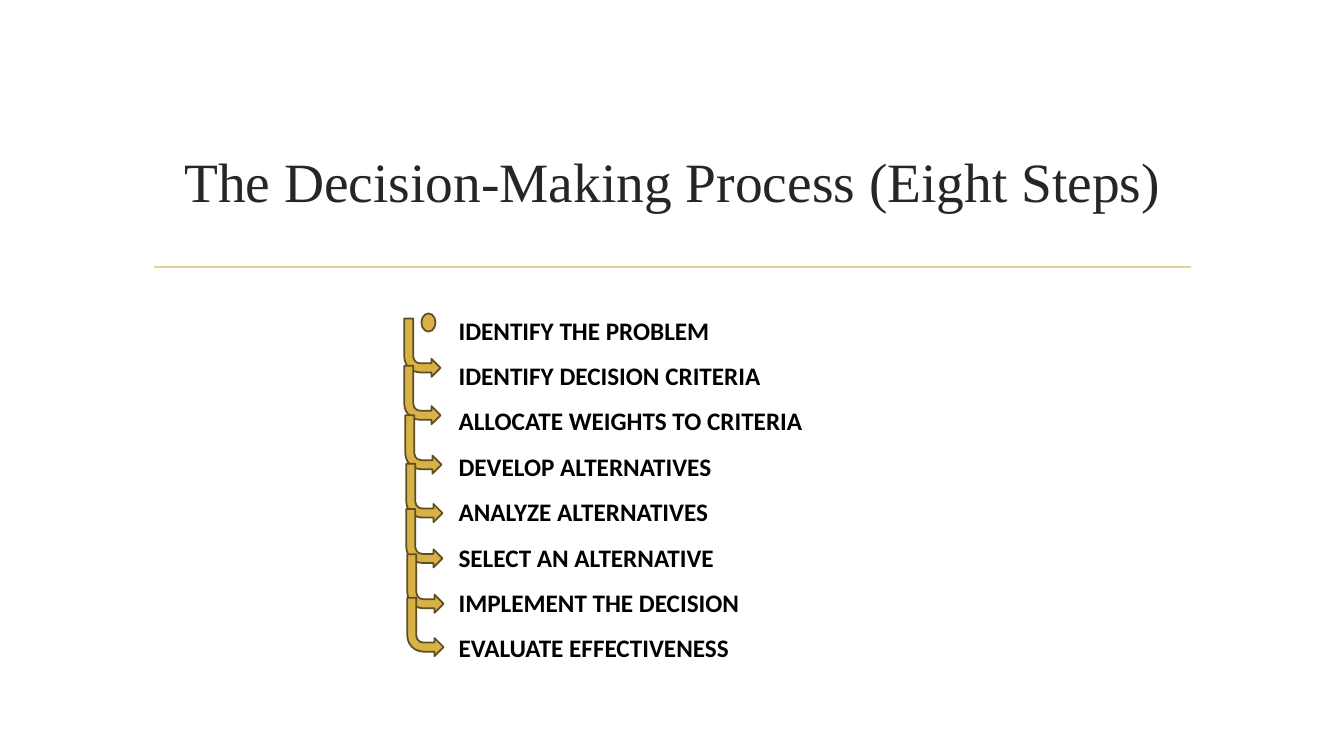
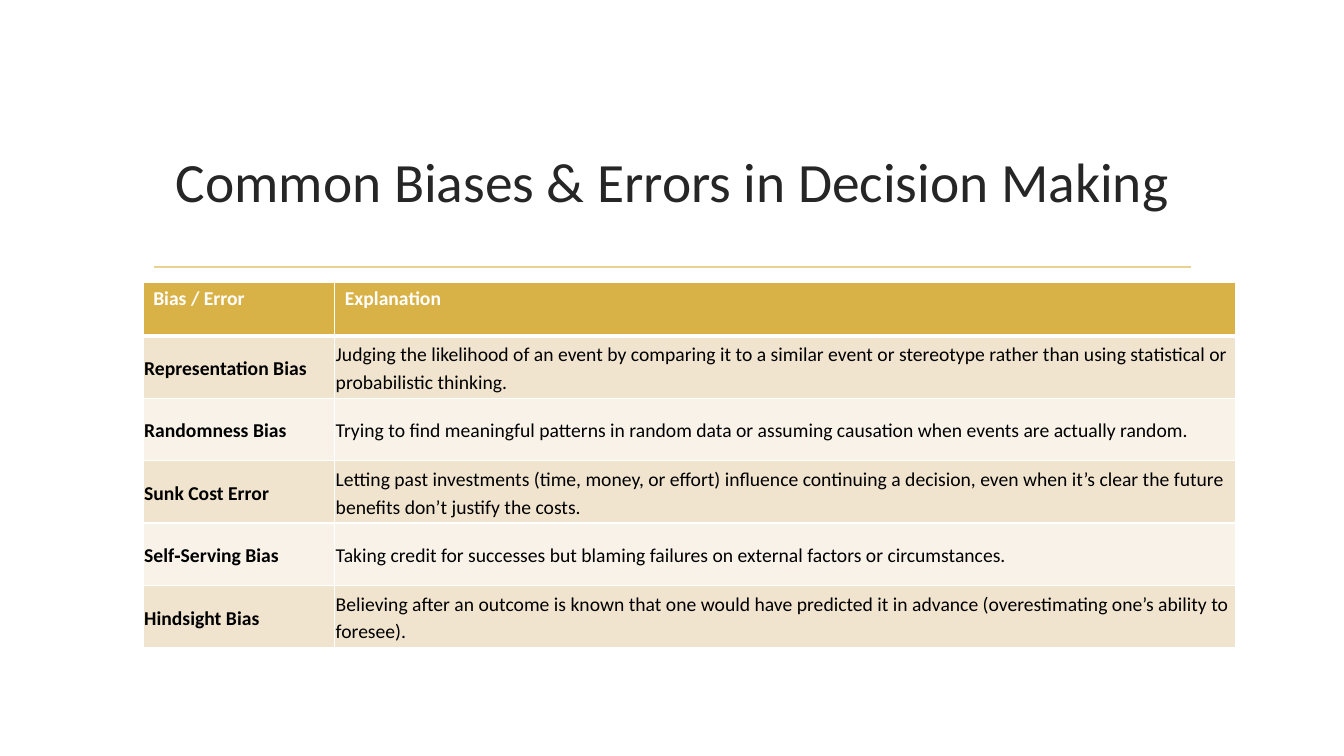
import pptx
import pptx.dml.color
import pptx.enum.shapes
import pptx.enum.text
import pptx.oxml
import pptx.oxml.ns
import pptx.util
from lxml import etree

Inches = pptx.util.Inches
Pt = pptx.util.Pt
qn = pptx.oxml.ns.qn
MSO_SHAPE = pptx.enum.shapes.MSO_SHAPE
MIDDLE = pptx.enum.text.MSO_ANCHOR.MIDDLE

GOLD = "D9B247"
PALE_GOLD = "E8D191"
DARK_GOLD = "5F4E1F"
TITLE_GREY = "262626"
BLACK = "000000"
WHITE = "FFFFFF"
BANDS = ["F1E4CF", "F8F2E9"]


def color(hex_string):
    return pptx.dml.color.RGBColor.from_string(hex_string)


def add_run(paragraph, text, size, hex_string, bold=False, font="Calibri"):
    run = paragraph.add_run()
    run.text = text
    run.font.name = font
    run.font.size = Pt(size)
    run.font.bold = bold
    run.font.color.rgb = color(hex_string)


presentation = pptx.Presentation()
presentation.slide_width = Inches(13.33)
presentation.slide_height = Inches(7.5)

# Shared rule and title
titles = [
    ("The Decision-Making Process (Eight Steps)", "Times New Roman"),
    ("Common Biases & Errors in Decision Making", "Calibri"),
]
for title, font in titles:
    slide = presentation.slides.add_slide(presentation.slide_layouts[6])
    rule = slide.shapes.add_connector(
        pptx.enum.shapes.MSO_CONNECTOR.STRAIGHT,
        Inches(1.53), Inches(2.65), Inches(11.81), Inches(2.65))
    rule.line.color.rgb = color(PALE_GOLD)
    rule.line.width = Pt(1.25)
    etree.SubElement(rule._element.spPr, qn("a:effectLst"))

    title_box = slide.shapes.add_textbox(Inches(1.42), Inches(1.07), Inches(10.5), Inches(1.43))
    title_box.text_frame.word_wrap = True
    title_box.text_frame.vertical_anchor = MIDDLE
    paragraph = title_box.text_frame.paragraphs[0]
    paragraph.alignment = pptx.enum.text.PP_ALIGN.CENTER
    add_run(paragraph, title, 39.6, TITLE_GREY, font=font)

process_slide, bias_slide = presentation.slides

# Eight steps
steps = [
    "IDENTIFY THE PROBLEM",
    "IDENTIFY DECISION CRITERIA",
    "ALLOCATE WEIGHTS TO CRITERIA",
    "DEVELOP ALTERNATIVES",
    "ANALYZE ALTERNATIVES",
    "SELECT AN ALTERNATIVE",
    "IMPLEMENT THE DECISION",
    "EVALUATE EFFECTIVENESS",
]
steps_box = process_slide.shapes.add_textbox(Inches(4.45), Inches(2.93), Inches(6.33), Inches(3.69))
steps_frame = steps_box.text_frame
steps_frame.word_wrap = True
steps_frame.vertical_anchor = MIDDLE
for index, step in enumerate(steps):
    paragraph = steps_frame.add_paragraph() if index else steps_frame.paragraphs[0]
    paragraph.line_spacing = 1.5
    add_run(paragraph, step, 18, BLACK, bold=True)

# Arrows from step to step, then the starting dot
arrow_places = [(4.01, 3.16), (4.01, 3.63), (4.02, 4.12), (4.03, 4.6),
                (4.03, 5.05), (4.04, 5.5), (4.04, 5.93)]
markers = [(MSO_SHAPE.BENT_ARROW, left, top, 0.36, 0.58) for left, top in arrow_places]
markers.append((MSO_SHAPE.FLOWCHART_CONNECTOR, 4.18, 3.11, 0.14, 0.18))
for kind, left, top, width, height in markers:
    shape = process_slide.shapes.add_shape(
        kind, Inches(left), Inches(top), Inches(width), Inches(height))
    shape.shadow.inherit = False
    shape.fill.solid()
    shape.fill.fore_color.rgb = color(GOLD)
    shape.line.color.rgb = color(DARK_GOLD)
    shape.line.width = Pt(1.25)
    if kind == MSO_SHAPE.BENT_ARROW:
        shape._element.spPr.find(qn("a:xfrm")).set("flipV", "1")

# Table of biases
rows = [
    ("Bias / Error", "Explanation"),
    ("Representation Bias",
     "Judging the likelihood of an event by comparing it to a similar event or stereotype "
     "rather than using statistical or probabilistic thinking."),
    ("Randomness Bias",
     "Trying to find meaningful patterns in random data or assuming causation when events "
     "are actually random."),
    ("Sunk Cost Error",
     "Letting past investments (time, money, or effort) influence continuing a decision, "
     "even when it’s clear the future benefits don’t justify the costs."),
    ("Self‑Serving Bias",
     "Taking credit for successes but blaming failures on external factors or circumstances."),
    ("Hindsight Bias",
     "Believing after an outcome is known that one would have predicted it in advance "
     "(overestimating one’s ability to foresee)."),
]
table = bias_slide.shapes.add_table(
    len(rows), 2, Inches(1.42), Inches(2.8), Inches(10.83), Inches(3.63)).table
table.columns[0].width = Inches(1.9)
table.columns[1].width = Inches(8.93)

for row_index, texts in enumerate(rows):
    header = row_index == 0
    table.rows[row_index].height = Inches(0.53 if header else 0.62)
    for column_index, text in enumerate(texts):
        cell = table.cell(row_index, column_index)
        cell.fill.solid()
        cell.fill.fore_color.rgb = color(GOLD if header else BANDS[(row_index - 1) % 2])
        paragraph = cell.text_frame.paragraphs[0]
        if not header:
            cell.vertical_anchor = MIDDLE
            cell.margin_left = cell.margin_right = Inches(0.01)
            cell.margin_top = cell.margin_bottom = Inches(0.01)
            paragraph.line_spacing = 1.15
            paragraph.space_after = Pt(8)
        add_run(paragraph, text, 14, WHITE if header else BLACK,
                bold=header or column_index == 0)

        # White borders, heavier below the header
        heavy_side = {0: "lnB", 1: "lnT"}.get(row_index)
        for position, side in enumerate(["lnL", "lnR", "lnT", "lnB"]):
            border = etree.Element(qn("a:" + side), w=str(Pt(3 if side == heavy_side else 1)))
            border_fill = etree.SubElement(border, qn("a:solidFill"))
            etree.SubElement(border_fill, qn("a:srgbClr"), val=WHITE)
            cell._tc.get_or_add_tcPr().insert(position, border)

presentation.save("out.pptx")
